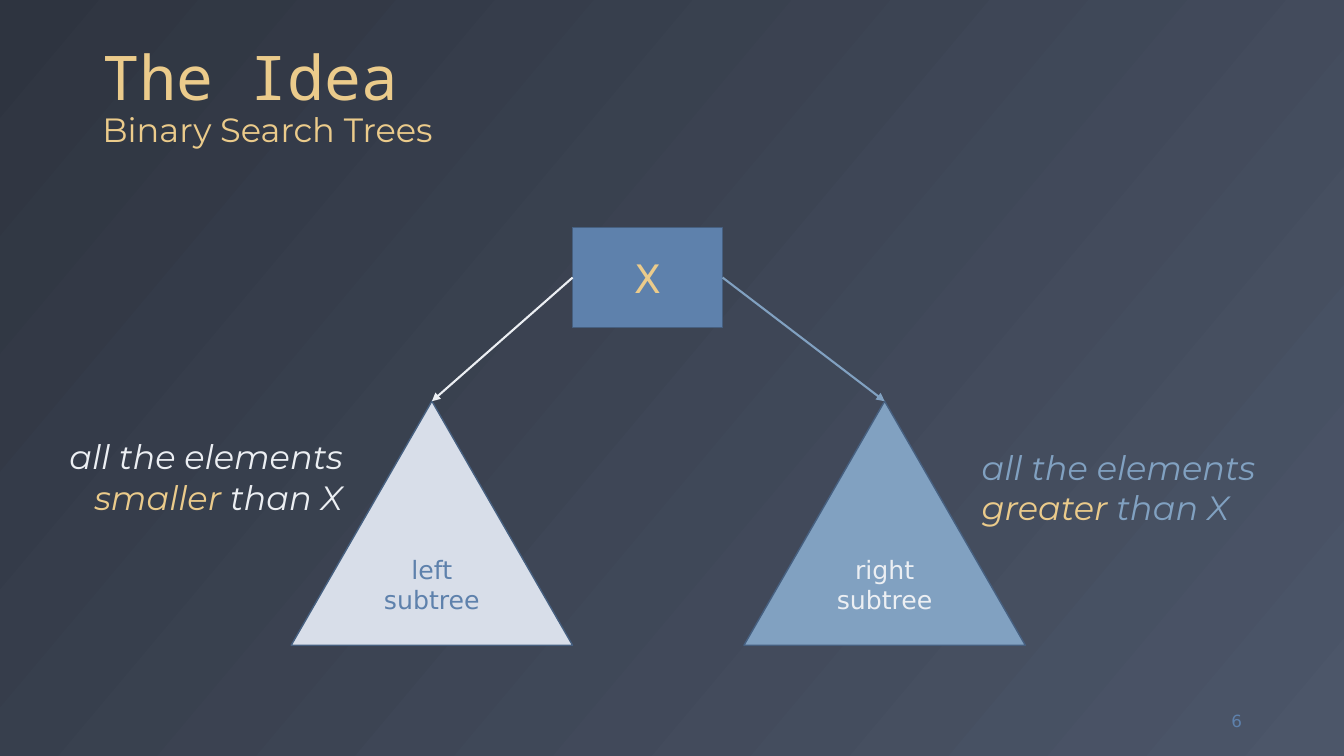
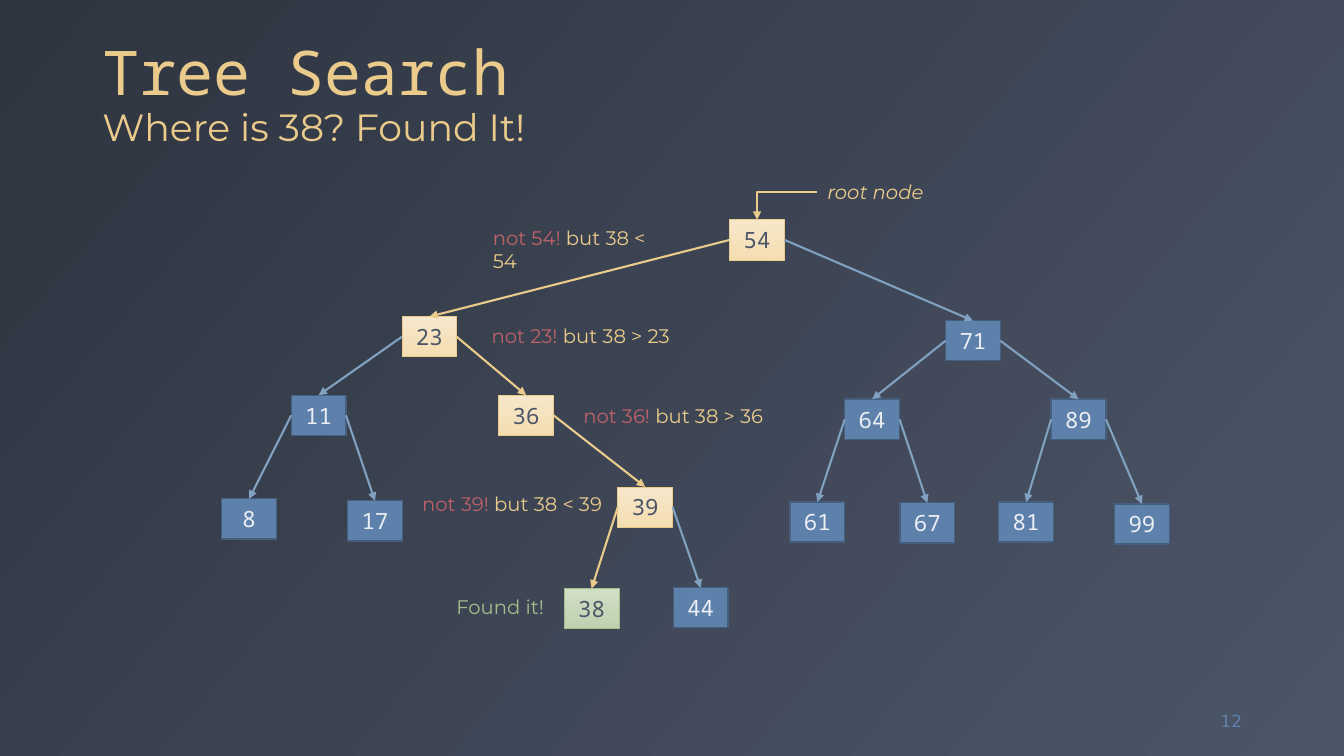
"""Builds two slides about binary search trees."""
from lxml.etree import SubElement
from pptx import Presentation
from pptx.dml.color import RGBColor
from pptx.enum.shapes import MSO_CONNECTOR as Link, MSO_SHAPE as Preset
from pptx.enum.text import MSO_ANCHOR as Anchor, MSO_AUTO_SIZE as Fit, PP_ALIGN as Align
from pptx.oxml.ns import qn
from pptx.util import Cm, Pt

MONO, SANS, PLAIN = "Noto Sans Mono", "Montserrat", "DejaVu Sans"
GOLD, BLUE, STEEL, EDGE = "EBCB8B", "5E81AC", "81A1C1", "465F7F"
SNOW, MIST, SLATE, NIGHT = "ECEFF3", "D8DEE9", "4C5669", "2E3440"
RED, GREEN = "BF6169", "A3BE8C"
PLAIN_NODE = (BLUE, SNOW, EDGE, 1)
VISITED_NODE = (("F7E7CB", "F4DDB1"), SLATE, GOLD, 0.5)
FOUND_NODE = (("D1DEC6", "BFD2B0"), SLATE, GREEN, 0.5)
TOP, LEFT, RIGHT = 0, 1, 3


def rgb(code):
    return RGBColor.from_string(code)


class Deck:
    """Holds the shared style and the current slide."""

    def __init__(self):
        self.prs = Presentation()
        self.prs.slide_width, self.prs.slide_height = Cm(33.87), Cm(19.05)
        self.slide = None

    def paint(self, fill, colour, angle):
        if isinstance(colour, str):
            fill.solid()
            fill.fore_color.rgb = rgb(colour)
            return
        fill.gradient()
        fill.gradient_angle = angle
        for stop, code in zip(fill.gradient_stops, colour):
            stop.color.rgb = rgb(code)

    def add_run(self, para, words, size, font, colour, italic=False):
        run = para.add_run()
        run.text = words
        run.font.size, run.font.name, run.font.italic = Pt(size), font, italic
        run.font.color.rgb = rgb(colour)

    def start(self, heading, subtitle, subtitle_size, number):
        self.slide = self.prs.slides.add_slide(self.prs.slide_layouts[6])
        self.paint(self.slide.background.fill, (NIGHT, SLATE), 320)
        title = self.box(2.33, 0.46, 29.21, 3.45, Anchor.BOTTOM)
        para = title.paragraphs[0]
        para.line_spacing = 0.9
        self.add_run(para, heading, 44, MONO, GOLD)
        para.add_line_break()
        self.add_run(para, subtitle, subtitle_size, SANS, GOLD)
        page = self.box(29.44, 17.65, 2.11, 1.02, Anchor.MIDDLE).paragraphs[0]
        page.alignment = Align.RIGHT
        self.add_run(page, number, 12, PLAIN, BLUE)

    def box(self, x, y, width, height, anchor):
        frame = self.slide.shapes.add_textbox(Cm(x), Cm(y), Cm(width), Cm(height)).text_frame
        frame.word_wrap, frame.vertical_anchor = True, anchor
        return frame

    def note(self, x, y, width, height, lines, size, italic=False, align=Align.LEFT):
        label = self.slide.shapes.add_textbox(Cm(x), Cm(y), Cm(width), Cm(height))
        frame = label.text_frame
        frame.word_wrap, frame.auto_size = False, Fit.SHAPE_TO_FIT_TEXT
        for index, line in enumerate(lines):
            para = frame.add_paragraph() if index else frame.paragraphs[0]
            para.alignment = align
            for words, colour in line:
                self.add_run(para, words, size, SANS, colour, italic)
        return label

    def node(self, preset, x, y, width, height, words, look, size, font):
        fill, ink, edge, weight = look
        shape = self.slide.shapes.add_shape(preset, Cm(x), Cm(y), Cm(width), Cm(height))
        shape.shadow.inherit = False
        self.paint(shape.fill, fill, 270)
        shape.line.color.rgb, shape.line.width = rgb(edge), Pt(weight)
        shape.text_frame.vertical_anchor = Anchor.MIDDLE
        para = shape.text_frame.paragraphs[0]
        para.alignment = Align.CENTER
        self.add_run(para, words, size, font, ink)
        return shape

    def arrow(self, source, side, target, colour, bent=False):
        kind = Link.ELBOW if bent else Link.STRAIGHT
        link = self.slide.shapes.add_connector(kind, 0, 0, 0, 0)
        link.begin_connect(source, side)
        link.end_connect(target, TOP)
        link.line.color.rgb, link.line.width = rgb(colour), Pt(1.5)
        props = link.element.spPr
        if bent:
            props.find(qn("a:prstGeom")).set("prst", "bentConnector2")
        SubElement(props.find(qn("a:ln")), qn("a:tailEnd"), type="triangle")
        SubElement(props, qn("a:effectLst"))


def build_idea(deck):
    deck.start("The Idea", "Binary Search Trees", 24, "6")
    root = deck.node(Preset.RECTANGLE, 14.43, 5.74, 3.78, 2.51, "X",
                     (BLUE, GOLD, EDGE, 1), 28, PLAIN)
    halves = [
        ("left subtree", 7.34, MIST, BLUE, LEFT, SNOW, "smaller", 1.47, 10.87, Align.RIGHT),
        ("right subtree", 18.75, STEEL, SNOW, RIGHT, STEEL, "greater", 24.49, 11.13, Align.LEFT),
    ]
    for name, x, fill, ink, side, tone, order, note_x, note_y, align in halves:
        subtree = deck.node(Preset.ISOSCELES_TRIANGLE, x, 10.11, 7.09, 6.15, name,
                            (fill, ink, EDGE, 1), 18, PLAIN)
        deck.arrow(root, side, subtree, tone)
        deck.note(note_x, note_y, 7.42, 2.31,
                  [[("all the elements", tone)], [(order, GOLD), (" than X", tone)]],
                  24, True, align)


def build_search(deck):
    deck.start("Tree Search", "Where is 38? Found It!", 27, "12")
    places = {
        54: (18.39, 5.54), 23: (10.13, 7.98), 71: (23.83, 8.08),
        11: (7.34, 9.96), 36: (12.57, 9.96), 64: (21.29, 10.06), 89: (26.49, 10.06),
        8: (5.59, 12.57), 17: (8.76, 12.62), 39: (15.57, 12.27),
        61: (19.91, 12.65), 67: (22.68, 12.67), 81: (25.17, 12.65), 99: (28.09, 12.7),
        38: (14.22, 14.83), 44: (16.97, 14.81),
    }
    children = {54: (23, 71), 23: (11, 36), 71: (64, 89), 11: (8, 17), 36: (39,),
                64: (61, 67), 89: (81, 99), 39: (38, 44)}
    looks = {**dict.fromkeys((54, 23, 36, 39), VISITED_NODE), 38: FOUND_NODE}
    nodes = {key: deck.node(Preset.RECTANGLE, x, y, 1.38, 1.01, str(key),
                            looks.get(key, PLAIN_NODE), 16, MONO)
             for key, (x, y) in places.items()}
    for parent, keys in children.items():
        for key in keys:
            side = LEFT if key < parent else RIGHT
            deck.arrow(nodes[parent], side, nodes[key], GOLD if key in looks else STEEL)

    root_label = deck.note(20.6, 4.42, 2.95, 0.86, [[("root node", GOLD)]], 14, True)
    deck.arrow(root_label, LEFT, nodes[54], GOLD, bent=True)
    steps = [(54, "<", 12.17, 5.56), (23, ">", 12.14, 8.03),
             (36, ">", 14.45, 10.06), (39, "<", 10.39, 12.27)]
    for key, sign, x, y in steps:
        deck.note(x, y, 5.05, 0.86,
                  [[(f"not {key}!", RED), (f" but 38 {sign} {key}", GOLD)]], 14)
    deck.note(11.25, 14.86, 2.74, 0.86, [[("Found it!", GREEN)]], 14)


def main():
    deck = Deck()
    build_idea(deck)
    build_search(deck)
    deck.prs.save("out.pptx")


if __name__ == "__main__":
    main()
